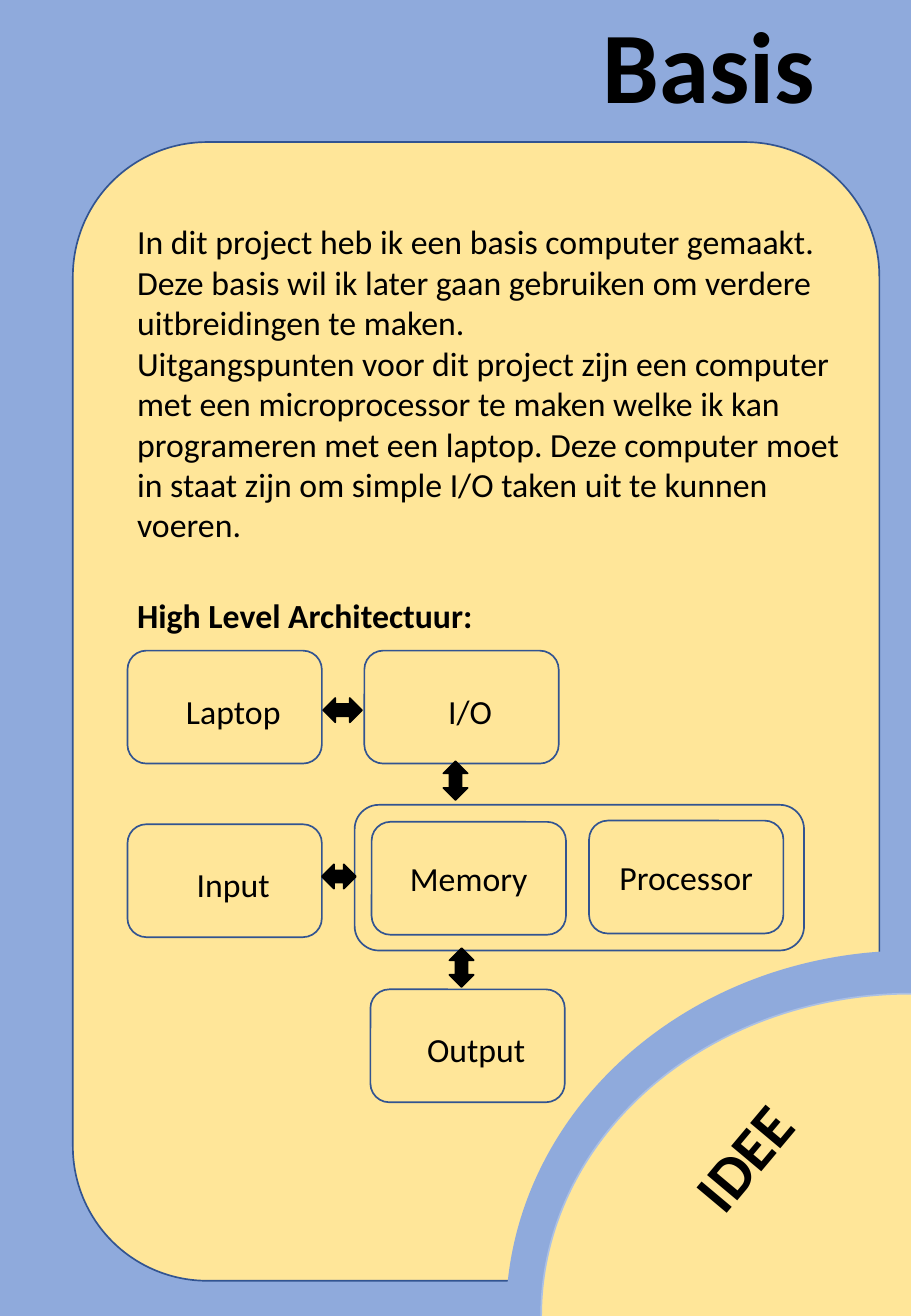
from lxml import etree
from pptx import Presentation, util as u
from pptx.dml.color import RGBColor
from pptx.enum import shapes, text

COLORS = {"background": "8FAADC", "panel": "FFE699", "outline": "325491",
          "badge_outline": "ABC0E4", "ink": "000000"}
FONT = "Calibri"
WIDTH, HEIGHT = 7.5, 10.84
TITLE = "Basis"
INTRO = [
    "In dit project heb ik een basis computer gemaakt. Deze basis wil ik later "
    "gaan gebruiken om verdere uitbreidingen te maken.",
    "Uitgangspunten voor dit project zijn een computer met een microprocessor te "
    "maken welke ik kan programeren met een laptop. Deze computer moet in staat "
    "zijn om simple I/O taken uit te kunnen voeren.",
]
HEADING = "High Level Architectuur:"
BADGE = "IDEE"

PANEL_LEFT, PANEL_TOP, PANEL_WIDTH = 0.6, 1.17, 6.64
TEXT_LEFT = 1.03
BLOCK = (1.6, 0.93)
NUDGE = (0.14, 0.06)
PERIPHERALS = [("Laptop", 1.05, 5.36), ("I/O", 3.0, 5.36),
               ("Output", 3.05, 8.15), ("Input", 1.05, 6.79)]
CORE = [("Memory", 3.06, 6.77), ("Processor", 4.85, 6.76)]
CORE_FRAME = (2.92, 6.63, 3.7, 1.2)
ARROWS = [(2.82, 5.85, 0.32, 0), (2.79, 7.22, 0.28, 0),
          (3.75, 6.43, 0.32, 90), (3.8, 7.97, 0.32, 90)]
ARROW_THICKNESS = 0.2


def inches(*lengths):
    return [u.Inches(length) for length in lengths]


def rgb(name):
    return RGBColor.from_string(COLORS[name])


def centred(x, y, width, height):
    return x - width / 2, y - height / 2, width, height


def draw(parent, preset, box, fill=None, line=None, rotation=0):
    part = parent.add_shape(preset, *inches(*box))
    part.shadow.inherit = False
    part.rotation = rotation
    if fill:
        part.fill.solid()
        part.fill.fore_color.rgb = rgb(fill)
    else:
        part.fill.background()
    if line:
        part.line.color.rgb = rgb(line)
        part.line.width = u.Pt(1)
    else:
        part.line.fill.background()
    return part


def write(frame, paragraphs, size=20, bold=False, align=text.PP_ALIGN.LEFT):
    frame.word_wrap = True
    for index, words in enumerate(paragraphs):
        paragraph = frame.paragraphs[0] if index == 0 else frame.add_paragraph()
        paragraph.text = words
        paragraph.alignment = align
        paragraph.font.name = FONT
        paragraph.font.size = u.Pt(size)
        paragraph.font.bold = bold
        paragraph.font.color.rgb = rgb("ink")


def add_text(box, paragraphs, **style):
    part = slide.shapes.add_textbox(*inches(*box))
    write(part.text_frame, paragraphs, **style)
    return part


def add_block(parent, label, left, top, nudge=(0, 0)):
    block = draw(parent, PRESET.ROUNDED_RECTANGLE, (left, top, *BLOCK), line="outline")
    frame = block.text_frame
    frame.margin_left, frame.margin_top = inches(0.1 + nudge[0], 0.05 + nudge[1])
    frame.vertical_anchor = text.MSO_ANCHOR.MIDDLE
    write(frame, [label], align=text.PP_ALIGN.CENTER)


PRESET = shapes.MSO_SHAPE
deck = Presentation()
deck.slide_width, deck.slide_height = inches(WIDTH, HEIGHT)
slide = deck.slides.add_slide(deck.slide_layouts[5])
slide.background.fill.solid()
slide.background.fill.fore_color.rgb = rgb("background")

title = slide.shapes.title
title.left, title.top, title.width, title.height = inches(
    PANEL_LEFT, 0, PANEL_WIDTH, PANEL_TOP)
title.text_frame.auto_size = text.MSO_AUTO_SIZE.NONE
title.text_frame.vertical_anchor = text.MSO_ANCHOR.MIDDLE
title.text_frame.margin_right = u.Inches(0.53)
write(title.text_frame, [TITLE], size=60, bold=True, align=text.PP_ALIGN.RIGHT)
title.text_frame.paragraphs[0].line_spacing = 0.9

draw(slide.shapes, PRESET.ROUNDED_RECTANGLE,
     (PANEL_LEFT, PANEL_TOP, PANEL_WIDTH, 9.38), "panel", "outline")
add_text((TEXT_LEFT, 1.77, 6.19, 2.79), INTRO)
add_text((TEXT_LEFT, 4.85, 3.75, 0.44), [HEADING], bold=True)

draw(slide.shapes, PRESET.PIE, centred(WIDTH, HEIGHT, 6.02, 6.67),
     "background", rotation=90)
draw(slide.shapes, PRESET.OVAL, centred(WIDTH, HEIGHT, 6.09, 5.31),
     "panel", "badge_outline")
badge = add_text((5.02, 9.18, 2.2, 0.71), [BADGE], size=36, bold=True,
                 align=text.PP_ALIGN.CENTER)
badge.rotation = 310

core = slide.shapes.add_group_shape()
for label, left, top in CORE:
    add_block(core.shapes, label, left, top)
draw(core.shapes, PRESET.ROUNDED_RECTANGLE, CORE_FRAME, line="outline")
for label, left, top in PERIPHERALS:
    add_block(slide.shapes, label, left, top, NUDGE)
for x, y, length, rotation in ARROWS:
    draw(slide.shapes, PRESET.LEFT_RIGHT_ARROW,
         centred(x, y, length, ARROW_THICKNESS), "ink", "ink", rotation)

deck.save("out.pptx")
